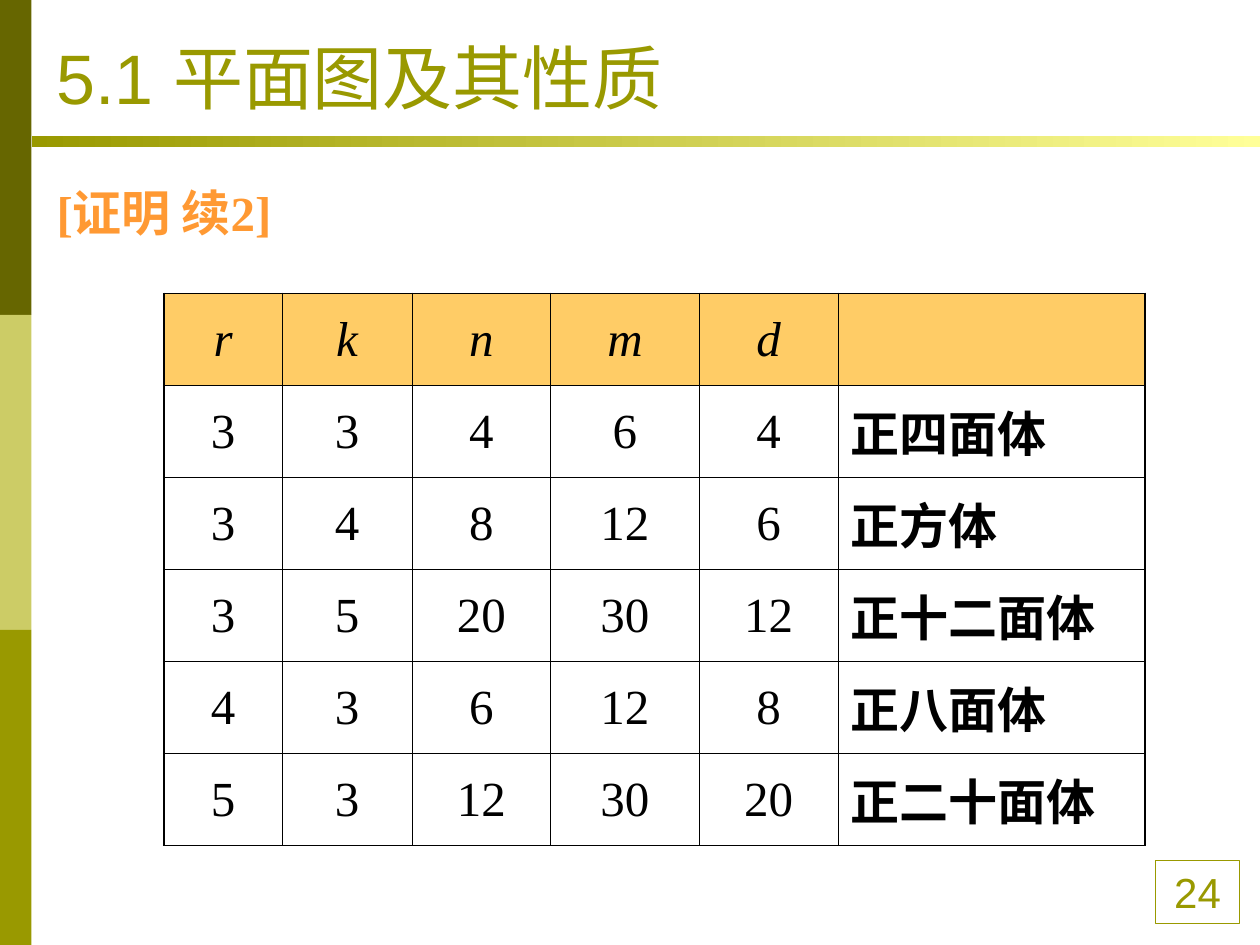
"""Build the slide that lists the five regular polyhedra in a table."""
from dataclasses import dataclass

from lxml import etree
from pptx import Presentation
from pptx import util as u
from pptx.dml.color import RGBColor
from pptx.enum import shapes, text
from pptx.oxml.ns import qn


@dataclass(frozen=True)
class Theme:
    olive: str = "999900"
    dark_olive: str = "666600"
    light_olive: str = "CCCC66"
    pale_yellow: str = "FFFF99"
    orange: str = "FF9933"
    header: str = "FFCC66"
    ink: str = "000000"
    sans: str = "Arial"
    serif: str = "Times New Roman"
    title_size: int = 40
    body_size: int = 28
    number_size: int = 24
    outer_line: float = 1.08
    inner_line: float = 0.45


class SlideBuilder:
    def __init__(self, theme, page):
        self.theme = theme
        self.page = page

    def set_text(self, frame, words, font, size, color, bold=False,
                 italic=False, align=text.PP_ALIGN.LEFT):
        frame.text = words
        para = frame.paragraphs[0]
        para.alignment = align
        for span in para.runs:
            span.font.name = font
            span.font.size = u.Pt(size)
            span.font.bold = bold
            span.font.italic = italic
            span.font.color.rgb = RGBColor.from_string(color)
        return para

    def rectangle(self, left, top, width, height):
        box = self.page.shapes.add_shape(
            shapes.MSO_SHAPE.RECTANGLE,
            *map(u.Inches, (left, top, width, height)))
        box.shadow.inherit = False
        box.fill.background()
        box.line.fill.background()
        return box

    def band(self, left, top, width, height, color):
        box = self.rectangle(left, top, width, height)
        box.fill.solid()
        box.fill.fore_color.rgb = RGBColor.from_string(color)

    def gradient_rule(self, left, top, width, height, colors):
        box = self.rectangle(left, top, width, height)
        box.fill.gradient()
        box.fill.gradient_angle = 0
        for stop, color in zip(box.fill.gradient_stops, colors):
            stop.color.rgb = RGBColor.from_string(color)

    def page_number(self, left, top, width, height, words):
        theme = self.theme
        box = self.rectangle(left, top, width, height)
        box.line.color.rgb = RGBColor.from_string(theme.olive)
        box.line.width = u.Pt(0.75)
        box.text_frame.vertical_anchor = text.MSO_ANCHOR.TOP
        self.set_text(box.text_frame, words, theme.sans, theme.number_size,
                      theme.olive, align=text.PP_ALIGN.CENTER)

    def text_box(self, left, top, width, height, words, font, size, color,
                 bold=False, anchor=text.MSO_ANCHOR.TOP):
        box = self.page.shapes.add_textbox(
            *map(u.Inches, (left, top, width, height)))
        box.text_frame.word_wrap = True
        box.text_frame.vertical_anchor = anchor
        return self.set_text(box.text_frame, words, font, size, color, bold)

    def border(self, cell, side, points):
        line = etree.SubElement(cell._tc.get_or_add_tcPr(), qn(f"a:ln{side}"),
                                w=str(u.Pt(points)))
        fill = etree.SubElement(line, qn("a:solidFill"))
        etree.SubElement(fill, qn("a:srgbClr"), val=self.theme.ink)

    def table(self, left, top, widths, row_height, rows):
        theme = self.theme
        last_row, last_column = len(rows) - 1, len(widths) - 1
        grid = self.page.shapes.add_table(
            len(rows), len(widths), u.Inches(left), u.Inches(top),
            u.Inches(sum(widths)), u.Inches(row_height * len(rows))).table
        grid.first_row = grid.horz_banding = False
        for column, width in zip(grid.columns, widths):
            column.width = u.Inches(width)
        for r, values in enumerate(rows):
            grid.rows[r].height = u.Inches(row_height)
            for c, value in enumerate(values):
                cell = grid.cell(r, c)
                cell.vertical_anchor = text.MSO_ANCHOR.MIDDLE
                outer = {"L": c == 0, "R": c == last_column,
                         "T": r == 0, "B": r == last_row}
                for side, on_edge in outer.items():
                    self.border(cell, side, theme.outer_line if on_edge
                                else theme.inner_line)
                if r == 0:
                    cell.fill.solid()
                    cell.fill.fore_color.rgb = RGBColor.from_string(theme.header)
                else:
                    cell.fill.background()
                is_name = c == last_column
                self.set_text(cell.text_frame, value, theme.serif,
                              theme.body_size, theme.ink,
                              bold=is_name, italic=r == 0,
                              align=text.PP_ALIGN.LEFT if is_name
                              else text.PP_ALIGN.CENTER)


def main():
    theme = Theme()
    deck = Presentation()
    deck.slide_width, deck.slide_height = u.Inches(10), u.Inches(7.5)
    slide = SlideBuilder(theme, deck.slides.add_slide(deck.slide_layouts[6]))

    side_colors = (theme.dark_olive, theme.light_olive, theme.olive)
    for index, color in enumerate(side_colors):
        slide.band(0, 2.5 * index, 0.25, 2.5, color)
    slide.page_number(9.17, 6.83, 0.67, 0.5, "24")
    slide.gradient_rule(0.25, 1.08, 9.75, 0.09,
                        (theme.olive, theme.pale_yellow))

    proof = slide.text_box(0.35, 1.31, 4.42, 0.66, "[证明 续2]", theme.serif,
                           theme.body_size, theme.orange, bold=True)
    proof.line_spacing = 1.2

    slide.table(1.3, 2.33, (0.94, 1.03, 1.1, 1.18, 1.1, 2.44), 0.73, (
        ("r", "k", "n", "m", "d", ""),
        ("3", "3", "4", "6", "4", "正四面体"),
        ("3", "4", "8", "12", "6", "正方体"),
        ("3", "5", "20", "30", "12", "正十二面体"),
        ("4", "3", "6", "12", "8", "正八面体"),
        ("5", "3", "12", "30", "20", "正二十面体"),
    ))
    slide.text_box(0.35, 0.13, 9, 0.86, "5.1 平面图及其性质", theme.sans,
                   theme.title_size, theme.olive,
                   anchor=text.MSO_ANCHOR.BOTTOM)
    deck.save("out.pptx")


if __name__ == "__main__":
    main()
